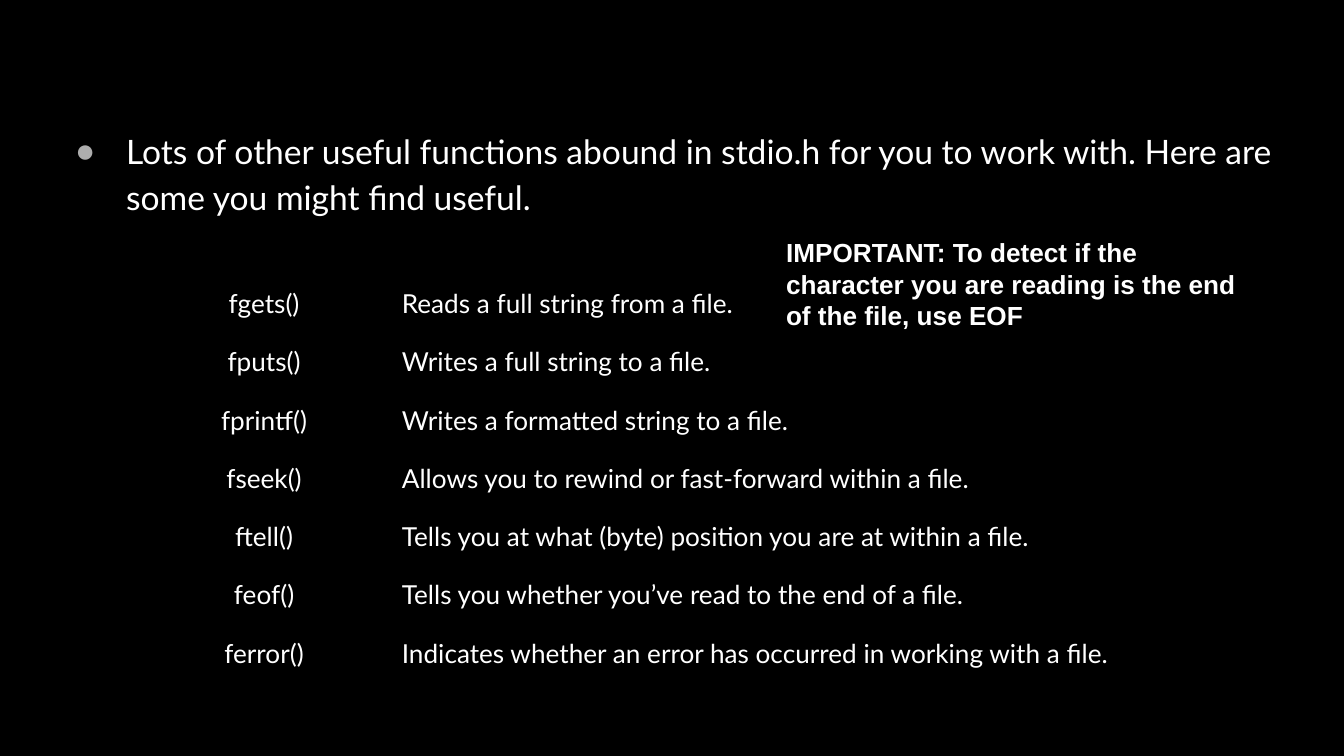
from lxml import etree
from pptx import Presentation
from pptx import util as u
from pptx.dml.color import RGBColor
from pptx.enum import text
from pptx.oxml.ns import qn

BLACK = RGBColor(0x00, 0x00, 0x00)
WHITE = RGBColor(0xFF, 0xFF, 0xFF)
BULLET_GREY = RGBColor(0xAD, 0xAD, 0xAD)
INSET = u.Inches(0.1)
NO_STYLE_NO_GRID = "{2D5ABB26-0587-4C30-8999-92F81FD0307C}"

FUNCTIONS = [
    ("fgets()", "Reads a full string from a file."),
    ("fputs()", "Writes a full string to a file."),
    ("fprintf()", "Writes a formatted string to a file."),
    ("fseek()", "Allows you to rewind or fast-forward within a file."),
    ("ftell()", "Tells you at what (byte) position you are at within a file."),
    ("feof()", "Tells you whether you’ve read to the end of a file."),
    ("ferror()", "Indicates whether an error has occurred in working with a file."),
]
COLUMNS = [(1.85, text.PP_ALIGN.CENTER), (6.07, text.PP_ALIGN.LEFT)]
ROW_HEIGHT = 0.42


def write(holder, words, size, font="Lato", bold=False):
    """Put one white paragraph into a text frame or cell, with even insets."""
    holder.margin_left = holder.margin_right = INSET
    holder.margin_top = holder.margin_bottom = INSET
    frame = getattr(holder, "text_frame", holder)
    frame.word_wrap = True
    paragraph = frame.paragraphs[0]
    paragraph.text = words
    paragraph.font.size = u.Pt(size)
    paragraph.font.name = font
    paragraph.font.bold = bold
    paragraph.font.color.rgb = WHITE
    return paragraph


deck = Presentation()
deck.slide_width = u.Inches(10)
deck.slide_height = deck.slide_width * 9 // 16
slide = deck.slides.add_slide(deck.slide_layouts[6])
slide.background.fill.solid()
slide.background.fill.fore_color.rgb = BLACK

# Introduction with a grey bullet
intro = slide.shapes.add_textbox(*map(u.Inches, (0.34, 0.83, 9.32, 3.3)))
intro_line = write(
    intro.text_frame,
    "Lots of other useful functions abound in stdio.h for you to work with. "
    "Here are some you might find useful.",
    18,
)
intro_line.line_spacing = 1.15
bullet = intro_line._p.get_or_add_pPr()
bullet.set("marL", str(u.Inches(0.5)))
bullet.set("indent", str(u.Inches(-0.38)))
bullet_colour = etree.SubElement(bullet, qn("a:buClr"))
etree.SubElement(bullet_colour, qn("a:srgbClr"), val=str(BULLET_GREY))
etree.SubElement(bullet, qn("a:buFont"), typeface="Arial")
etree.SubElement(bullet, qn("a:buChar"), char="●")

# Function names and what they do
table_width = sum(width for width, _ in COLUMNS)
table_frame = slide.shapes.add_table(
    len(FUNCTIONS), len(COLUMNS), u.Inches(1.04), u.Inches(2.04),
    u.Inches(table_width), u.Inches(ROW_HEIGHT * len(FUNCTIONS)),
)
reference = table_frame.table
reference.first_row = reference.horz_banding = False
reference._tbl.tblPr.find(qn("a:tableStyleId")).text = NO_STYLE_NO_GRID
for c, (width, alignment) in enumerate(COLUMNS):
    reference.columns[c].width = u.Inches(width)
    for r, entry in enumerate(FUNCTIONS):
        cell = reference.cell(r, c)
        cell.fill.background()
        write(cell, entry[c], 14).alignment = alignment

# Warning about the end of the file
warning = slide.shapes.add_textbox(*map(u.Inches, (5.75, 1.66, 3.65, 0.71)))
write(
    warning.text_frame,
    "IMPORTANT: To detect if the character you are reading is the end of the file, use EOF",
    14, "Arial", bold=True,
)

deck.save("out.pptx")
